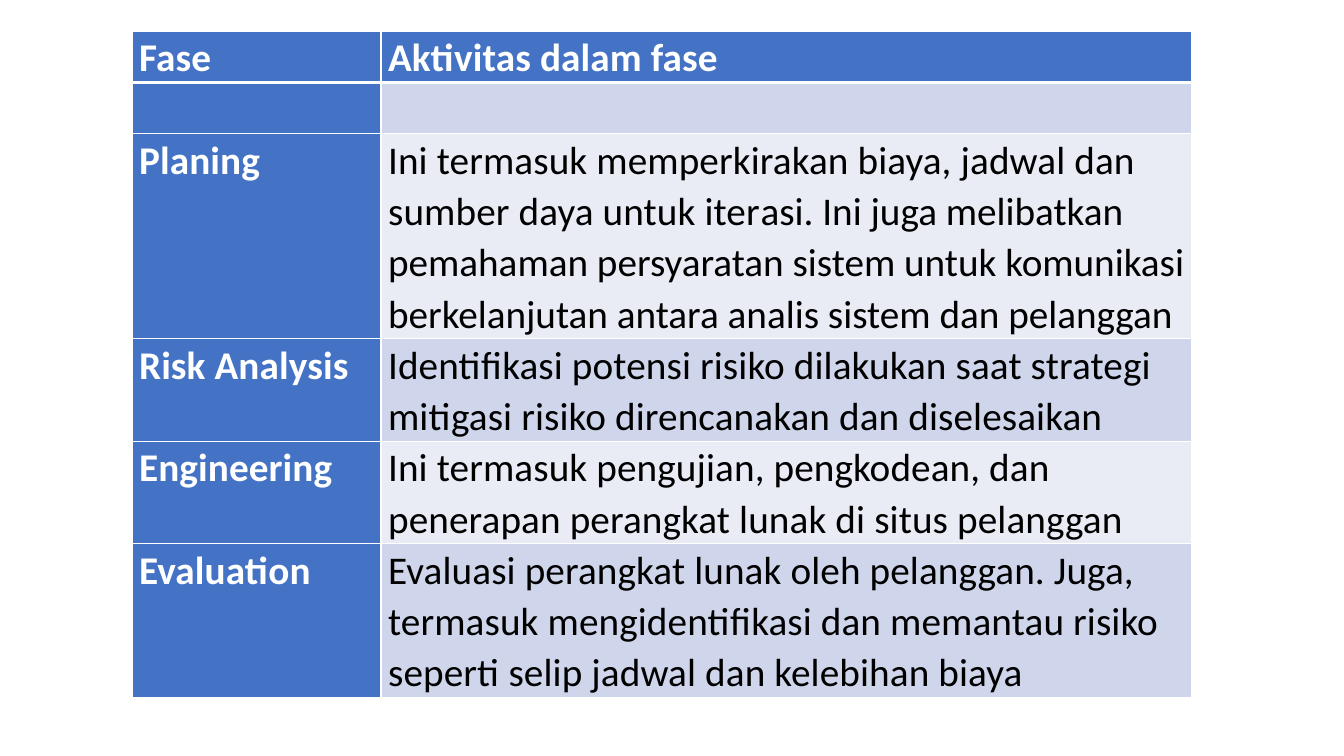
"""Build a slide with a table of spiral model phases and their activities."""
from lxml.etree import SubElement
from pptx import Presentation
from pptx.dml.color import RGBColor
from pptx.oxml.ns import qn
from pptx.util import Inches, Pt

WHITE, BLACK, BLUE = "FFFFFF", "000000", "4472C4"
BANDS = ("E9EBF5", "CFD5EA")
LINE_HEIGHT = 0.508
COLUMN_WIDTHS = (2.47, 8.04)
PHASES = [
    (1, "Fase", ["Aktivitas dalam fase"]),
    (1, "", []),
    (4, "Planing", [
        "Ini termasuk memperkirakan biaya, jadwal dan sumber daya untuk iter",
        "asi. Ini juga melibatkan pemahaman persyaratan sistem untuk komunikasi "
        "berkelanjutan antara analis sistem dan pelanggan"]),
    (2, "Risk Analysis", [
        "Identifikasi potensi risiko dilakukan saat strategi mitigasi risiko "
        "direncanakan dan diselesaikan"]),
    (2, "Engineering", [
        "Ini termasuk pengujian, pengkodean, dan penerapan perangkat lunak "
        "di situs pelanggan"]),
    (3, "Evaluation", [
        "Evaluasi perangkat lunak oleh pelanggan. Juga, termasuk "
        "mengidentifikasi dan memantau risiko seperti selip jadwal dan "
        "kelebihan biaya"]),
]


def color(value):
    """Turn a hex string into a colour."""
    return RGBColor.from_string(value)


def draw_borders(cell, top, bottom):
    """Draw white cell borders, with top and bottom widths in points."""
    properties = cell._tc.get_or_add_tcPr()
    for side, width in (("L", 1), ("R", 1), ("T", top), ("B", bottom)):
        line = SubElement(properties, qn(f"a:ln{side}"), w=str(Pt(width)))
        fill = SubElement(line, qn("a:solidFill"))
        SubElement(fill, qn("a:srgbClr"), val=WHITE)


def write_text(cell, texts, strong):
    """Write the text pieces of a cell; only the first piece is spaced out."""
    cell.margin_left = cell.margin_right = Inches(0.07)
    cell.margin_top = cell.margin_bottom = 0
    para = cell.text_frame.paragraphs[0]
    para.line_spacing = 1.07
    para.space_after = Pt(8)
    for index, text in enumerate(texts):
        span = para.add_run()
        span.text = text
        span.font.name = "Calibri"
        span.font.size = Pt(28)
        span.font.bold = strong
        span.font.color.rgb = color(WHITE if strong else BLACK)
        span._r.get_or_add_rPr().set("spc", "0" if index else "10")


def style_cell(cell, row, texts, strong):
    """Give a cell its borders, fill and text."""
    draw_borders(cell, 3 if row == 1 else 1, 3 if row == 0 else 1)
    cell.fill.solid()
    cell.fill.fore_color.rgb = color(BLUE if strong else BANDS[row % 2])
    write_text(cell, texts, strong)


def add_phase_table(page):
    """Add the table, with each row as high as its lines of text."""
    height = LINE_HEIGHT * sum(lines for lines, _, _ in PHASES)
    frame = page.shapes.add_table(
        len(PHASES), len(COLUMN_WIDTHS), Inches(1.31), Inches(0.31),
        Inches(sum(COLUMN_WIDTHS)), Inches(height))
    table = frame.table
    table.first_row = table.horz_banding = False
    for column, width in zip(table.columns, COLUMN_WIDTHS):
        column.width = Inches(width)
    for row, (lines, phase, activity) in enumerate(PHASES):
        table.rows[row].height = Inches(lines * LINE_HEIGHT)
        style_cell(table.cell(row, 0), row, [phase] if phase else [], True)
        style_cell(table.cell(row, 1), row, activity, row == 0)


def main():
    """Create the deck and save it."""
    deck = Presentation()
    deck.slide_width, deck.slide_height = Inches(13.33), Inches(7.5)
    page = deck.slides.add_slide(deck.slide_layouts[6])
    add_phase_table(page)
    deck.save("out.pptx")


if __name__ == "__main__":
    main()
